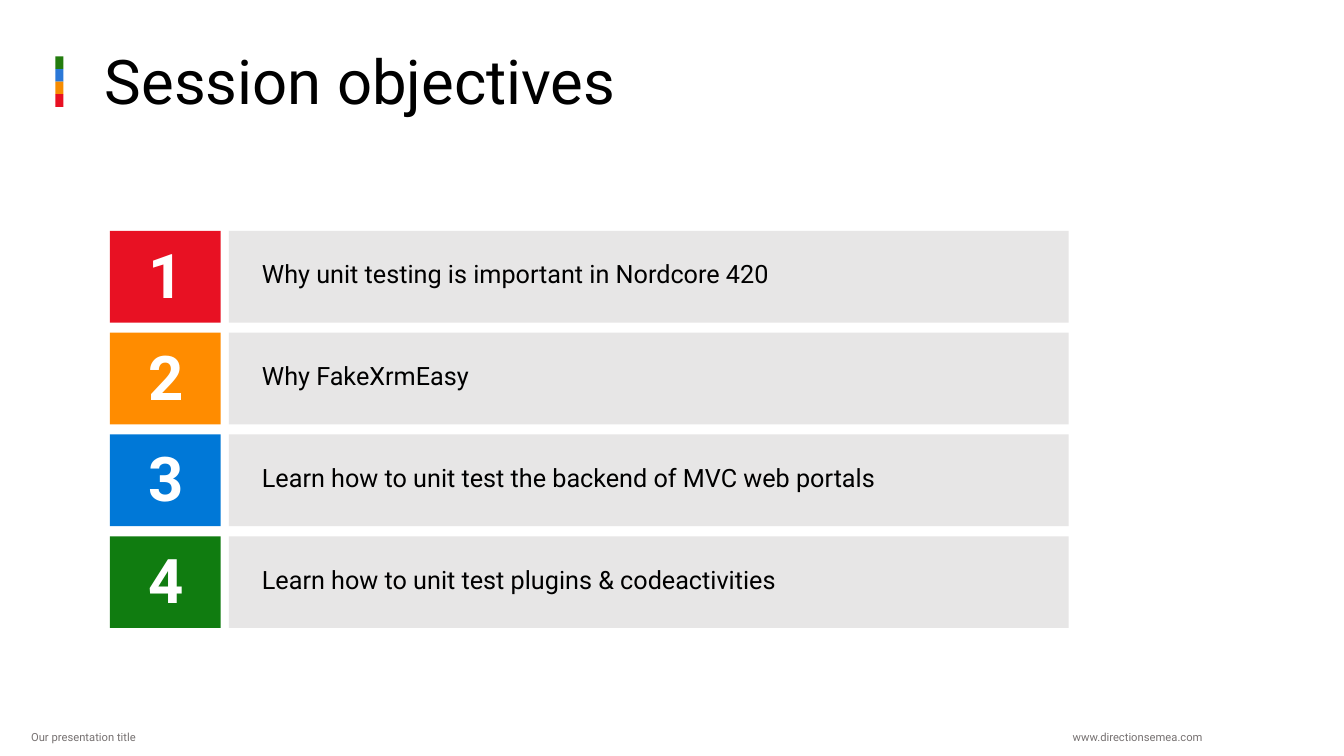
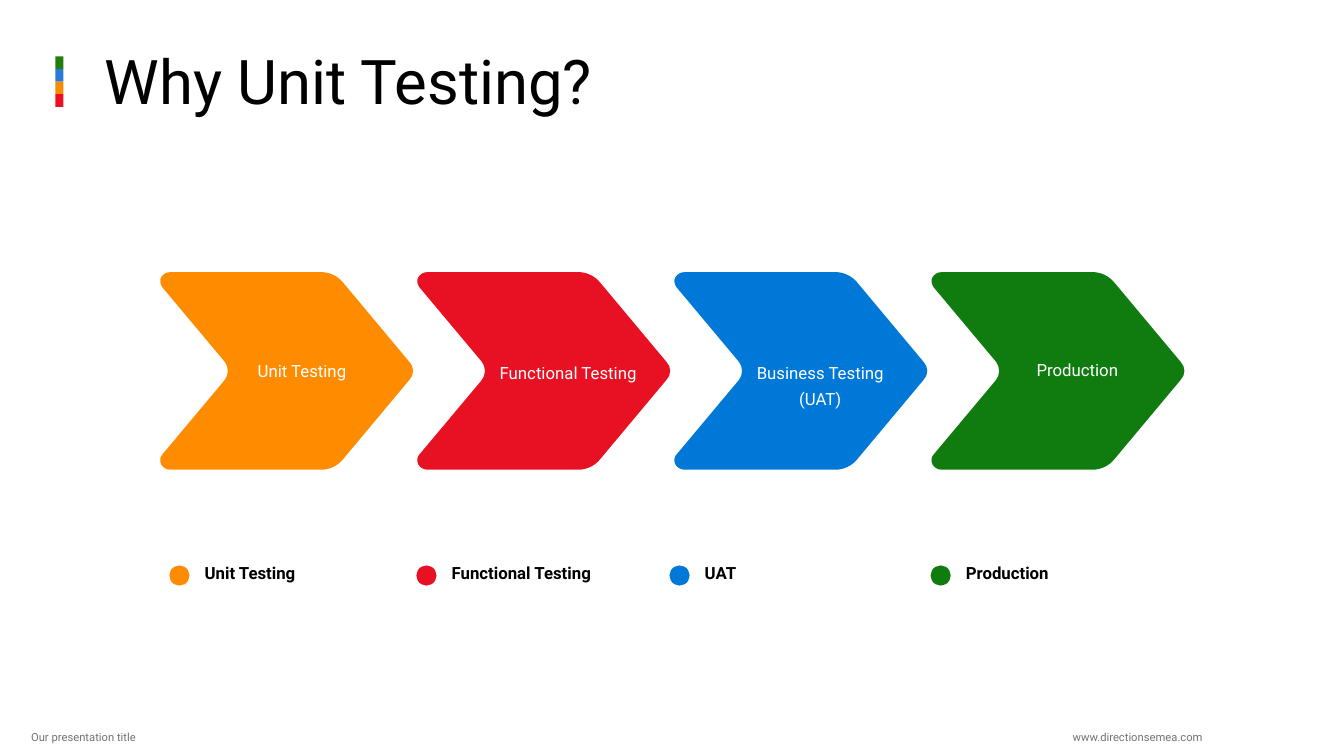
from lxml import etree
from pptx import Presentation
from pptx import util as u
from pptx.dml.color import RGBColor
from pptx.enum import shapes, text
from pptx.oxml import ns

FONT = "Roboto"
RED = RGBColor(0xE8, 0x11, 0x23)
ORANGE = RGBColor(0xFF, 0x8C, 0x00)
BLUE = RGBColor(0x00, 0x78, 0xD7)
GREEN = RGBColor(0x10, 0x7C, 0x10)
MARK_COLOURS = [
    RGBColor(0x23, 0x7C, 0x0E),
    RGBColor(0x2B, 0x78, 0xD7),
    RGBColor(0xF6, 0x8C, 0x01),
    RGBColor(0xE8, 0x10, 0x22),
]
BLACK = RGBColor(0x00, 0x00, 0x00)
WHITE = RGBColor(0xFF, 0xFF, 0xFF)
PALE_GREY = RGBColor(0xE7, 0xE6, 0xE6)
FOOTER_GREY = RGBColor(0x76, 0x71, 0x71)

LEFT = text.PP_ALIGN.LEFT
CENTER = text.PP_ALIGN.CENTER
TOP = text.MSO_ANCHOR.TOP
MIDDLE = text.MSO_ANCHOR.MIDDLE
RECTANGLE = shapes.MSO_SHAPE.RECTANGLE
OVAL = shapes.MSO_SHAPE.OVAL

DEFAULT_INSETS = (0.1, 0.05, 0.1, 0.05)
NO_INSETS = (0, 0, 0, 0)

OBJECTIVES = [
    ("Why unit testing is important in Nordcore 420", RED),
    ("Why FakeXrmEasy", ORANGE),
    ("Learn how to unit test the backend of MVC web portals", BLUE),
    ("Learn how to unit test plugins & codeactivities", GREEN),
]

STAGES = [
    ("Unit Testing", 0.57, 3.52, "Unit Testing", 1.68, ORANGE),
    ("Functional Testing", 0.66, 3.54, "Functional Testing", 4.13, RED),
    ("Business Testing (UAT)", 0.61, 3.54, "UAT", 6.64, BLUE),
    ("Production", 0.61, 3.51, "Production", 9.23, GREEN),
]

CHEVRON_START = (2.48, 0.89)
CHEVRON_STEPS = [
    [(2.53, 0.94), (2.53, 1.02), (2.48, 1.07)],
    [(1.82, 1.86)],
    [(1.77, 1.92), (1.69, 1.96), (1.61, 1.96)],
    [(0.11, 1.96)],
    [(0.07, 1.96), (0.04, 1.94), (0.02, 1.91)],
    [(0, 1.87), (0.01, 1.83), (0.03, 1.81)],
    [(0.65, 1.07)],
    [(0.69, 1.02), (0.69, 0.94), (0.65, 0.89)],
    [(0.03, 0.15)],
    [(0.01, 0.12), (0, 0.08), (0.02, 0.05)],
    [(0.04, 0.02), (0.07, 0), (0.11, 0)],
    [(1.61, 0)],
    [(1.69, 0), (1.77, 0.04), (1.82, 0.1)],
]


def write_text(shape, words, size, colour, bold=False, align=LEFT, anchor=TOP,
               insets=DEFAULT_INSETS, spacing=1.0):
    frame = shape.text_frame
    frame.word_wrap = True
    frame.auto_size = text.MSO_AUTO_SIZE.NONE
    frame.vertical_anchor = anchor
    (frame.margin_left, frame.margin_top,
     frame.margin_right, frame.margin_bottom) = map(u.Inches, insets)
    paragraph = frame.paragraphs[0]
    paragraph.alignment = align
    paragraph.line_spacing = spacing
    run = paragraph.add_run()
    run.text = words
    run.font.name = FONT
    run.font.size = u.Pt(size)
    run.font.bold = bold
    run.font.color.rgb = colour


def paint(shape, colour):
    shape.shadow.inherit = False
    shape.fill.solid()
    shape.fill.fore_color.rgb = colour
    shape.line.fill.background()


def add_filled(slide, preset, box, colour):
    shape = slide.shapes.add_shape(preset, *map(u.Inches, box))
    paint(shape, colour)


def add_label(slide, box, words, size, colour, **style):
    shape = slide.shapes.add_textbox(*map(u.Inches, box))
    write_text(shape, words, size, colour, **style)


def add_titled_slide(presentation, title):
    slide = presentation.slides.add_slide(presentation.slide_layouts[5])
    placeholder = slide.shapes.title
    placeholder.left, placeholder.top = u.Inches(0.94), u.Inches(0.46)
    placeholder.width, placeholder.height = u.Inches(10.71), u.Inches(0.73)
    write_text(placeholder, title, 44, BLACK, spacing=0.9)
    height = 0.5 / len(MARK_COLOURS)
    for index, colour in enumerate(MARK_COLOURS):
        add_filled(slide, RECTANGLE, (0.55, 0.56 + index * height, 0.08, height), colour)
    add_label(slide, (10.5, 7.2, 1.57, 0.24), "www.directionsemea.com", 8,
              FOOTER_GREY, align=CENTER)
    add_label(slide, (0.21, 7.2, 4.81, 0.24), "Our presentation title", 8, FOOTER_GREY)
    return slide


def add_objective(slide, number, words, colour):
    top = 2.29 + (number - 1) * 1.01
    add_filled(slide, RECTANGLE, (1.09, top, 1.1, 0.91), colour)
    add_label(slide, (0.94, top, 1.41, 0.85), str(number), 44, WHITE, bold=True,
              align=CENTER, anchor=MIDDLE)
    add_filled(slide, RECTANGLE, (2.27, top, 8.33, 0.91), PALE_GREY)
    add_label(slide, (2.5, top, 7.9, 0.85), words, 18, BLACK, anchor=MIDDLE)


def bend_outline(shape, steps):
    segments = iter(shape.element.findall(".//" + ns.qn("a:lnTo")))
    for step in steps:
        lines = [next(segments) for _ in step]
        if len(lines) == 1:
            continue
        curve = etree.Element(ns.qn("a:cubicBezTo"))
        lines[0].addprevious(curve)
        for line in lines:
            curve.append(line[0])
            line.getparent().remove(line)


def add_chevron(slide, left, top, colour):
    corners = [CHEVRON_START] + [point for step in CHEVRON_STEPS for point in step]
    start, *others = [(u.Inches(left + x), u.Inches(top + y)) for x, y in corners]
    builder = slide.shapes.build_freeform(*start)
    builder.add_line_segments(others, close=False)
    builder.add_line_segments([], close=True)
    chevron = builder.convert_to_shape()
    bend_outline(chevron, CHEVRON_STEPS)
    paint(chevron, colour)


def add_legend_entry(slide, left, words, colour):
    add_filled(slide, OVAL, (left, 5.61, 0.2, 0.2), colour)
    add_label(slide, (left + 0.35, 5.6, 1.8, 0.35), words, 12, BLACK, bold=True,
              insets=NO_INSETS, spacing=0.9)


def main():
    presentation = Presentation()
    presentation.slide_width = u.Inches(13.33)
    presentation.slide_height = u.Inches(7.5)

    objectives = add_titled_slide(presentation, "Session objectives")
    for number, (words, colour) in enumerate(OBJECTIVES, 1):
        add_objective(objectives, number, words, colour)

    stages = add_titled_slide(presentation, "Why Unit Testing?")
    for index, (label, offset, label_top, legend, legend_left, colour) in enumerate(STAGES):
        left = 1.58 + index * 2.55
        add_chevron(stages, left, 2.7, colour)
        add_label(stages, (left + offset, label_top, 1.69, 0.56), label, 12, WHITE,
                  align=CENTER, insets=NO_INSETS, spacing=1.3)
        add_legend_entry(stages, legend_left, legend, colour)

    presentation.save("out.pptx")


if __name__ == "__main__":
    main()
